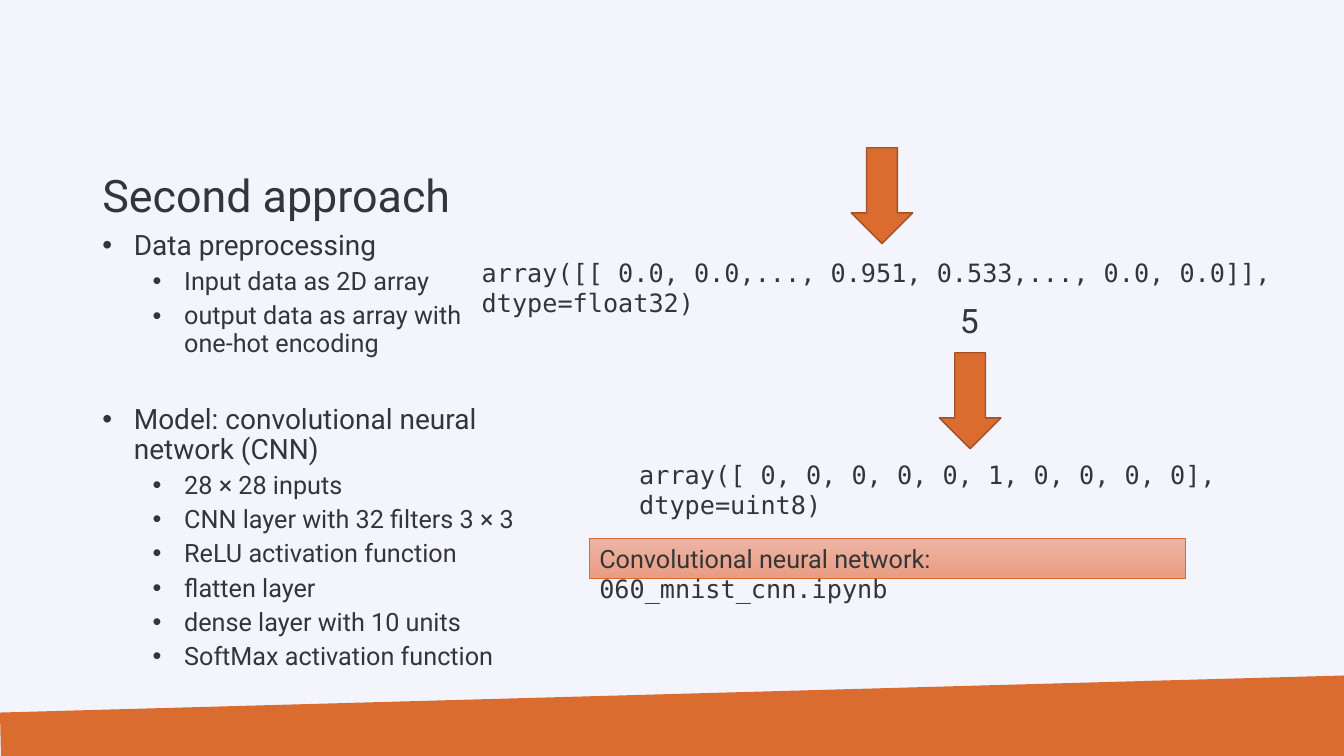
from dataclasses import dataclass

from lxml import etree
from pptx import Presentation
from pptx import util as u
from pptx.dml.color import RGBColor
from pptx.enum import shapes, text
from pptx.oxml.ns import qn


@dataclass(frozen=True)
class Theme:
    background: str = "F4F5FC"
    ink: str = "333639"
    accent: str = "DB6C30"
    accent_edge: str = "A25024"
    gradient: tuple = ("EDB5A4", "EA9B82")
    sans: str = "Roboto"
    mono: str = "DejaVu Sans Mono"
    title_size: int = 32
    digit_size: int = 24
    topic_size: int = 20
    text_size: int = 18


def color(value):
    return RGBColor.from_string(value)


class SlideBuilder:
    def __init__(self, presentation, theme):
        self.theme = theme
        self.slide = presentation.slides.add_slide(presentation.slide_layouts[6])
        background = self.slide.background.fill
        background.solid()
        background.fore_color.rgb = color(theme.background)

    def style_runs(self, paragraph, size, font=None):
        for run in paragraph.runs:
            run.font.size = u.Pt(size)
            run.font.name = font or self.theme.sans
            run.font.color.rgb = color(self.theme.ink)

    def text_box(self, box, words="", size=None, font=None,
                 anchor=text.MSO_ANCHOR.TOP, line_spacing=1.0):
        shape = self.slide.shapes.add_textbox(*map(u.Pt, box))
        frame = shape.text_frame
        frame.word_wrap = True
        frame.vertical_anchor = anchor
        frame.text = words
        paragraph = frame.paragraphs[0]
        paragraph.line_spacing = line_spacing
        self.style_runs(paragraph, size or self.theme.text_size, font)
        return frame

    def bullet_list(self, box, topics):
        frame = self.text_box(box)
        for index, (topic, items) in enumerate(topics):
            paragraph = frame.add_paragraph() if index else frame.paragraphs[0]
            self.bullet(paragraph, topic, 0, self.theme.topic_size, 34 if index else 0)
            for item in items:
                self.bullet(frame.add_paragraph(), item, 1, self.theme.text_size, 5)

    def bullet(self, paragraph, words, level, size, space_before):
        paragraph.text = words
        paragraph.level = level
        properties = paragraph._p.get_or_add_pPr()
        properties.set("marL", str(u.Pt(22.5 + 36 * level)))
        properties.set("indent", str(u.Pt(-22.5)))
        etree.SubElement(properties, qn("a:buFont")).set("typeface", "Arial")
        etree.SubElement(properties, qn("a:buChar")).set("char", "•")
        paragraph.line_spacing = 0.9
        paragraph.space_before = u.Pt(space_before)
        self.style_runs(paragraph, size)

    def down_arrow(self, left, top):
        shape = self.slide.shapes.add_shape(
            shapes.MSO_SHAPE.DOWN_ARROW, *map(u.Pt, (left, top, 44, 68.5)))
        shape.shadow.inherit = False
        shape.fill.solid()
        shape.fill.fore_color.rgb = color(self.theme.accent)
        shape.line.color.rgb = color(self.theme.accent_edge)
        shape.line.width = u.Pt(1)

    def notebook_bar(self, box, label, filename):
        shape = self.slide.shapes.add_shape(
            shapes.MSO_SHAPE.RECTANGLE, *map(u.Pt, box))
        shape.shadow.inherit = False
        shape.fill.gradient()
        shape.fill.gradient_angle = 270
        for stop, value in zip(shape.fill.gradient_stops, self.theme.gradient):
            stop.color.rgb = color(value)
        shape.line.color.rgb = color(self.theme.accent)
        shape.line.width = u.Pt(0.5)
        frame = shape.text_frame
        frame.word_wrap = True
        frame.vertical_anchor = text.MSO_ANCHOR.TOP
        paragraph = frame.paragraphs[0]
        paragraph.text = label
        paragraph.alignment = text.PP_ALIGN.LEFT
        paragraph.add_run().text = filename
        self.style_runs(paragraph, self.theme.text_size)
        paragraph.runs[1].font.name = self.theme.mono

    def footer_band(self, points):
        corners = [tuple(map(u.Pt, point)) for point in points]
        builder = self.slide.shapes.build_freeform(*corners[0])
        builder.add_line_segments(corners[1:], close=True)
        shape = builder.convert_to_shape()
        shape.shadow.inherit = False
        shape.fill.solid()
        shape.fill.fore_color.rgb = color(self.theme.accent)
        shape.line.fill.background()


def main():
    theme = Theme()
    presentation = Presentation()
    presentation.slide_width = u.Pt(960)
    presentation.slide_height = u.Pt(540)
    builder = SlideBuilder(presentation, theme)

    builder.footer_band([(0, 509), (960, 482.5), (960, 540), (0.7, 540)])
    builder.text_box((66, 36, 310, 126), "Second approach", theme.title_size,
                     anchor=text.MSO_ANCHOR.BOTTOM, line_spacing=0.9)
    builder.bullet_list((66, 162, 347, 300), [
        ("Data preprocessing", [
            "Input data as 2D array",
            "output data as array with\vone-hot encoding",
        ]),
        ("Model: convolutional neural network (CNN)", [
            "28 × 28 inputs",
            "CNN layer with 32 filters 3 × 3",
            "ReLU activation function",
            "flatten layer",
            "dense layer with 10 units",
            "SoftMax activation function",
        ]),
    ])
    builder.text_box(
        (337, 180, 623, 29),
        "array([[ 0.0, 0.0,..., 0.951, 0.533,..., 0.0, 0.0]], dtype=float32)",
        font=theme.mono)
    builder.down_arrow(608, 105.5)
    builder.text_box((678.5, 210.5, 30, 36), "5", theme.digit_size)
    builder.text_box(
        (449.5, 324.5, 487, 29),
        "array([ 0, 0, 0, 0, 0, 1, 0, 0, 0, 0], dtype=uint8)",
        font=theme.mono)
    builder.down_arrow(671, 252)
    builder.notebook_bar((421, 384.5, 426, 29),
                         "Convolutional neural network: ", "060_mnist_cnn.ipynb")
    presentation.save("out.pptx")


if __name__ == "__main__":
    main()
